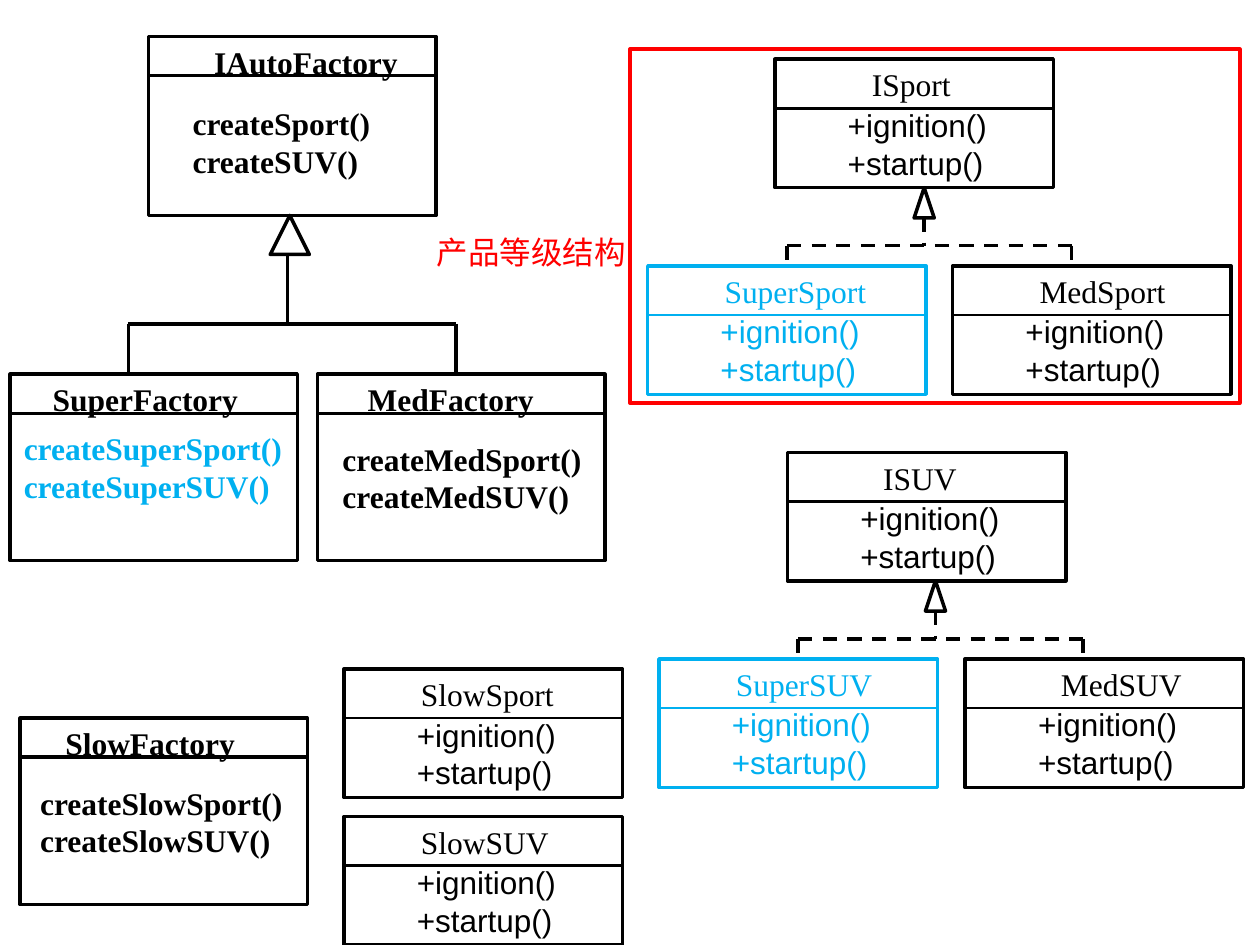
from pptx import Presentation
from pptx.dml.color import RGBColor
from pptx.enum.dml import MSO_LINE
from pptx.enum.shapes import MSO_CONNECTOR, MSO_SHAPE
from pptx.enum.text import MSO_AUTO_SIZE
from pptx.oxml.ns import qn
from pptx.util import Inches, Pt

COLORS = {"black": "000000", "blue": "00B0F0", "red": "FF0000", "white": "FFFFFF"}
SERIF, SANS = "Times New Roman", "Arial"
PRODUCT_WIDTH, PRODUCT_HEIGHT = 2.21, 1.02
FACTORY_WIDTH = 2.28
OPERATIONS = "+ignition()\n+startup()"


class ClassDiagram:
    def __init__(self, slide, size=18, line_width=2):
        self.slide = slide
        self.size = size
        self.line_width = line_width

    def color(self, name):
        return RGBColor.from_string(COLORS[name])

    def shape(self, kind, left, top, width, height, color="black", fill=None):
        shape = self.slide.shapes.add_shape(
            kind, Inches(left), Inches(top), Inches(width), Inches(height))
        shape.shadow.inherit = False
        if fill:
            shape.fill.solid()
            shape.fill.fore_color.rgb = self.color(fill)
        else:
            shape.fill.background()
        shape.line.color.rgb = self.color(color)
        shape.line.width = Pt(self.line_width)
        return shape

    def line(self, x1, y1, x2, y2, color="black", width=None, dashed=False):
        line = self.slide.shapes.add_connector(
            MSO_CONNECTOR.STRAIGHT, Inches(x1), Inches(y1), Inches(x2), Inches(y2))
        line.line.color.rgb = self.color(color)
        line.line.width = Pt(width or self.line_width)
        if dashed:
            line.line.dash_style = MSO_LINE.DASH
        properties = line._element.spPr
        properties.append(properties.makeelement(qn("a:effectLst"), {}))
        return line

    def text(self, left, top, width, text, font, color="black", bold=False, indent=0):
        lines = text.count("\n") + 1
        box = self.slide.shapes.add_textbox(
            Inches(left), Inches(top), Inches(width), Inches(0.1 + 0.3 * lines))
        frame = box.text_frame
        frame.word_wrap = False
        frame.auto_size = MSO_AUTO_SIZE.SHAPE_TO_FIT_TEXT
        frame.margin_left = Inches(0.1 + indent)
        frame.margin_right = 0
        frame.text = text
        for para in frame.paragraphs:
            for span in para.runs:
                span.font.name = font
                span.font.size = Pt(self.size)
                span.font.bold = bold
                span.font.color.rgb = self.color(color)

    def product(self, left, top, name, name_offset, name_width, color="black"):
        box = self.shape(MSO_SHAPE.RECTANGLE, left, top, PRODUCT_WIDTH, PRODUCT_HEIGHT, color)
        self.text(left + name_offset, top, name_width, name, SERIF, color, indent=0.19)
        self.line(left, top + 0.39, left + PRODUCT_WIDTH, top + 0.39, color, width=1.5)
        self.text(left + 0.48, top + 0.32, 1.3, OPERATIONS, SANS, color)
        return box

    def factory(self, left, top, height, name, name_place, methods, methods_place,
                indent=0, color="black"):
        """Places are (offset from left, width) and (offset from left, from top, width)."""
        self.shape(MSO_SHAPE.RECTANGLE, left, top, FACTORY_WIDTH, height)
        self.line(left, top + 0.31, left + FACTORY_WIDTH, top + 0.31)
        name_dx, name_width = name_place
        self.text(left + name_dx, top, name_width, name, SERIF, bold=True, indent=indent)
        dx, dy, width = methods_place
        self.text(left + dx, top + dy, width, methods, SERIF, color, bold=True)

    def inheritance(self, apex, triangle, stem_x, bar_y, drops, bottom,
                    dashed=False, child=None):
        """Join subclasses to a parent; the first drop is attached to child if given."""
        apex_x, apex_y = apex
        width, height = triangle
        first, last = drops
        for x in drops:
            drop = self.line(x, bar_y, x, bottom, dashed=dashed)
            if child and x == first:
                drop.end_connect(child, 0)
        self.line(first, bar_y, last, bar_y, dashed=dashed)
        self.line(stem_x, apex_y + height, stem_x, bar_y, dashed=dashed)
        self.shape(MSO_SHAPE.ISOSCELES_TRIANGLE, apex_x - width / 2, apex_y,
                   width, height, fill="white")

    def product_family(self, top, parent, parent_left, super_product, super_left,
                       med_product, med_left):
        """Products are (name, name offset, name width)."""
        child_top = top + 1.64
        self.product(parent_left, top, *parent)
        child = self.product(super_left, child_top, *super_product, "blue")
        self.product(med_left, child_top, *med_product)
        first = super_left + PRODUCT_WIDTH / 2
        apex_x = first + 1.09
        self.inheritance((apex_x, top + PRODUCT_HEIGHT), (0.16, 0.24), apex_x, top + 1.48,
                         (first, first + 2.26), child_top, dashed=True, child=child)


def main():
    deck = Presentation()
    deck.slide_width, deck.slide_height = Inches(10), Inches(7.5)
    diagram = ClassDiagram(deck.slides.add_slide(deck.slide_layouts[6]))

    diagram.product_family(0.47, ("ISport", 0.48, 1.01), 6.15,
                           ("SuperSport", 0.32, 1.51), 5.14,
                           ("MedSport", 0.4, 1.39), 7.56)
    diagram.product_family(3.59, ("ISUV", 0.47, 0.97), 6.25,
                           ("SuperSUV", 0.32, 1.47), 5.23,
                           ("MedSUV", 0.47, 1.34), 7.66)

    diagram.factory(1.18, 0.29, 1.42, "IAutoFactory", (0.17, 1.91),
                    "createSport()\ncreateSUV()", (0.25, 0.49, 1.61), indent=0.25)
    diagram.inheritance((2.3, 1.71), (0.31, 0.31), 2.28, 2.57, (1.02, 3.62), 2.97)
    diagram.factory(0.08, 2.97, 1.48, "SuperFactory", (0.24, 1.67),
                    "createSuperSport()\ncreateSuperSUV()", (0.01, 0.39, 2.25), color="blue")
    diagram.factory(2.52, 2.97, 1.48, "MedFactory", (0.3, 1.52),
                    "createMedSport()\ncreateMedSUV()", (0.1, 0.47, 2.1))
    diagram.factory(0.16, 5.7, 1.48, "SlowFactory", (0.26, 1.54),
                    "createSlowSport()\ncreateSlowSUV()", (0.06, 0.47, 2.13))

    diagram.product(2.73, 5.31, "SlowSport", 0.32, 1.44)
    diagram.product(2.73, 6.48, "SlowSUV", 0.32, 1.4)

    diagram.shape(MSO_SHAPE.RECTANGLE, 5, 0.39, 4.84, 2.81, "red")
    diagram.text(3.37, 1.8, 1.7, "产品等级结构", SANS, "red")
    deck.save("out.pptx")


if __name__ == "__main__":
    main()
